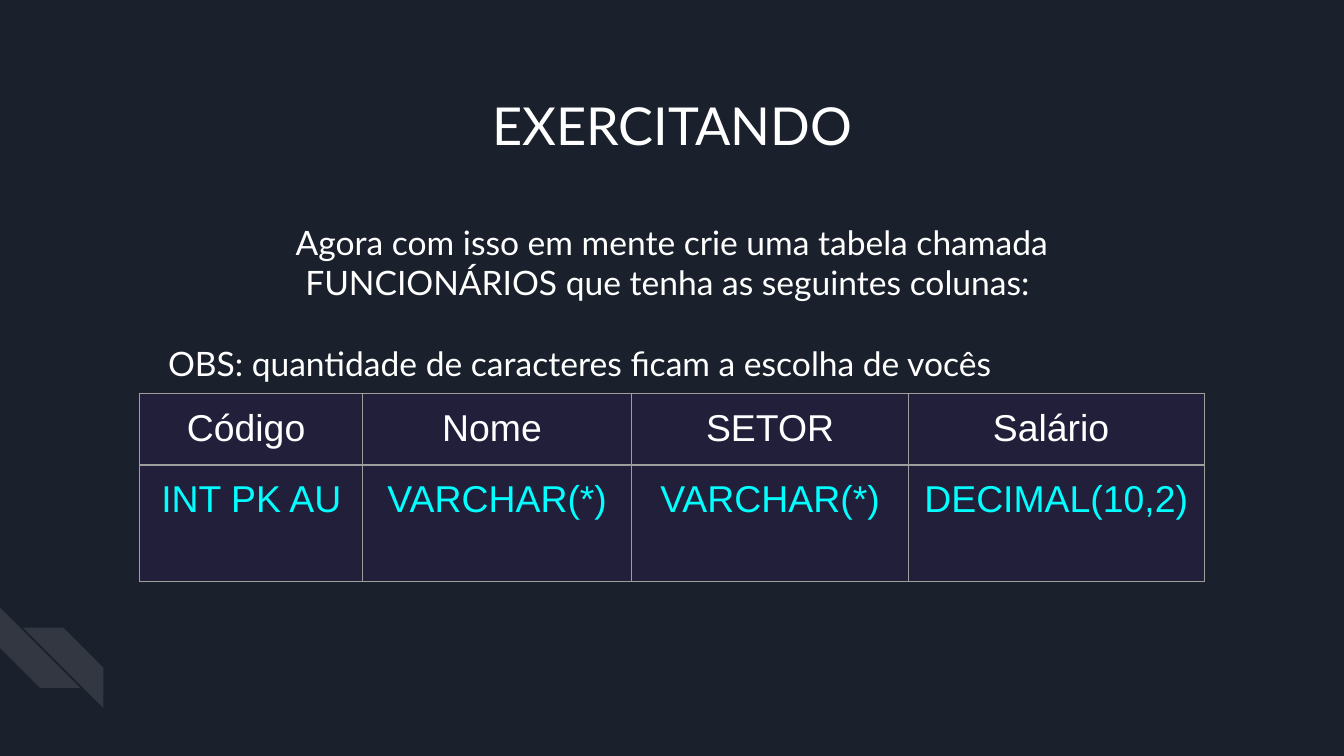
from lxml.etree import SubElement
from pptx import Presentation
from pptx.dml.color import RGBColor
from pptx.enum.shapes import MSO_SHAPE
from pptx.enum.text import MSO_ANCHOR, MSO_AUTO_SIZE, PP_ALIGN
from pptx.oxml import parse_xml
from pptx.oxml.ns import nsdecls, qn
from pptx.util import Inches, Pt

BACKGROUND, WHITE, CYAN = "1B212C", "FFFFFF", "00FFFF"
CELL_FILL, BORDER = "221F3B", "9E9E9E"

COLUMNS = [
    ("Código ", "INT PK AU", 1.66),
    ("Nome ", "VARCHAR(*)", 2),
    ("SETOR", "VARCHAR(*)", 2.06),
    ("Salário ", "DECIMAL(10,2)", 2.2),
]
ROW_HEIGHTS = [0.53, 0.87]


def paint(fill, color):
    fill.solid()
    fill.fore_color.rgb = RGBColor.from_string(color)


def write(paragraph, text, size=18, font="Lato", color=WHITE,
          align=PP_ALIGN.CENTER, before=0):
    paragraph.alignment = align
    paragraph.space_before = Pt(before)
    run = paragraph.add_run()
    run.text = text
    run.font.size = Pt(size)
    run.font.name = font
    run.font.color.rgb = RGBColor.from_string(color)


def place(placeholder, box, anchor):
    placeholder.left, placeholder.top, placeholder.width, placeholder.height = map(Inches, box)
    frame = placeholder.text_frame
    frame.word_wrap = True
    frame.auto_size = MSO_AUTO_SIZE.NONE
    frame.vertical_anchor = anchor
    frame.margin_left = frame.margin_right = Inches(0.1)
    frame.margin_top = frame.margin_bottom = Inches(0.1)
    return frame


def remove_bullet(paragraph):
    properties = paragraph._p.get_or_add_pPr()
    properties.set("marL", "0")
    properties.set("indent", "0")
    SubElement(properties, qn("a:buNone"))


def add_corner_stripes(slide, left, top, size=0.6):
    for dx, dy, rotation in [(0, 0, 270), (0.17, 0.15, 90)]:
        stripe = slide.shapes.add_shape(
            MSO_SHAPE.DIAGONAL_STRIPE, Inches(left + dx), Inches(top + dy),
            Inches(size), Inches(size))
        stripe.rotation = rotation
        stripe.adjustments[0] = 0.5
        stripe.shadow.inherit = False
        stripe.line.fill.background()
        paint(stripe.fill, WHITE)
        color = stripe.fill._xPr.find(qn("a:solidFill"))[0]
        SubElement(color, qn("a:alpha")).set("val", "10000")


def add_heading(slide, box):
    frame = place(slide.shapes.title, box, MSO_ANCHOR.MIDDLE)
    write(frame.paragraphs[0], "EXERCITANDO", size=28)


def add_instructions(slide, box):
    frame = place(slide.placeholders[1], box, MSO_ANCHOR.TOP)
    task, note = frame.paragraphs[0], frame.add_paragraph()
    write(task, "Agora com isso em mente crie uma tabela chamada "
                "FUNCIONÁRIOS que tenha as seguintes colunas: ")
    write(note, "OBS: quantidade de caracteres ficam a escolha de vocês",
          align=PP_ALIGN.LEFT, before=21.6)
    remove_bullet(task)
    remove_bullet(note)


def outline(cell):
    properties = cell._tc.get_or_add_tcPr()
    for position, side in enumerate(("lnL", "lnR", "lnT", "lnB")):
        properties.insert(position, parse_xml(
            f'<a:{side} {nsdecls("a")} w="{Pt(0.75)}"><a:solidFill>'
            f'<a:srgbClr val="{BORDER}"/></a:solidFill></a:{side}>'))


def add_columns_table(slide, left, top):
    widths = [width for _, _, width in COLUMNS]
    table = slide.shapes.add_table(
        len(ROW_HEIGHTS), len(COLUMNS), Inches(left), Inches(top),
        Inches(sum(widths)), Inches(sum(ROW_HEIGHTS))).table
    for row, height in zip(table.rows, ROW_HEIGHTS):
        row.height = Inches(height)
    for c, (name, data_type, width) in enumerate(COLUMNS):
        table.columns[c].width = Inches(width)
        for r, (text, color) in enumerate([(name, WHITE), (data_type, CYAN)]):
            cell = table.cell(r, c)
            cell.margin_left = cell.margin_right = Inches(0.1)
            cell.margin_top = cell.margin_bottom = Inches(0.1)
            paint(cell.fill, CELL_FILL)
            outline(cell)
            write(cell.text_frame.paragraphs[0], text, size=20, font="Arial", color=color)


def main():
    presentation = Presentation()
    presentation.slide_width = Inches(10)
    presentation.slide_height = Inches(10 * 9 / 16)
    slide = presentation.slides.add_slide(presentation.slide_layouts[1])
    paint(slide.background.fill, BACKGROUND)
    add_corner_stripes(slide, 0, 4.52)
    add_heading(slide, (1.15, 0.43, 7.7, 1))
    add_instructions(slide, (1.15, 1.55, 7.7, 1.41))
    add_columns_table(slide, 1.04, 2.93)
    presentation.save("out.pptx")


if __name__ == "__main__":
    main()
